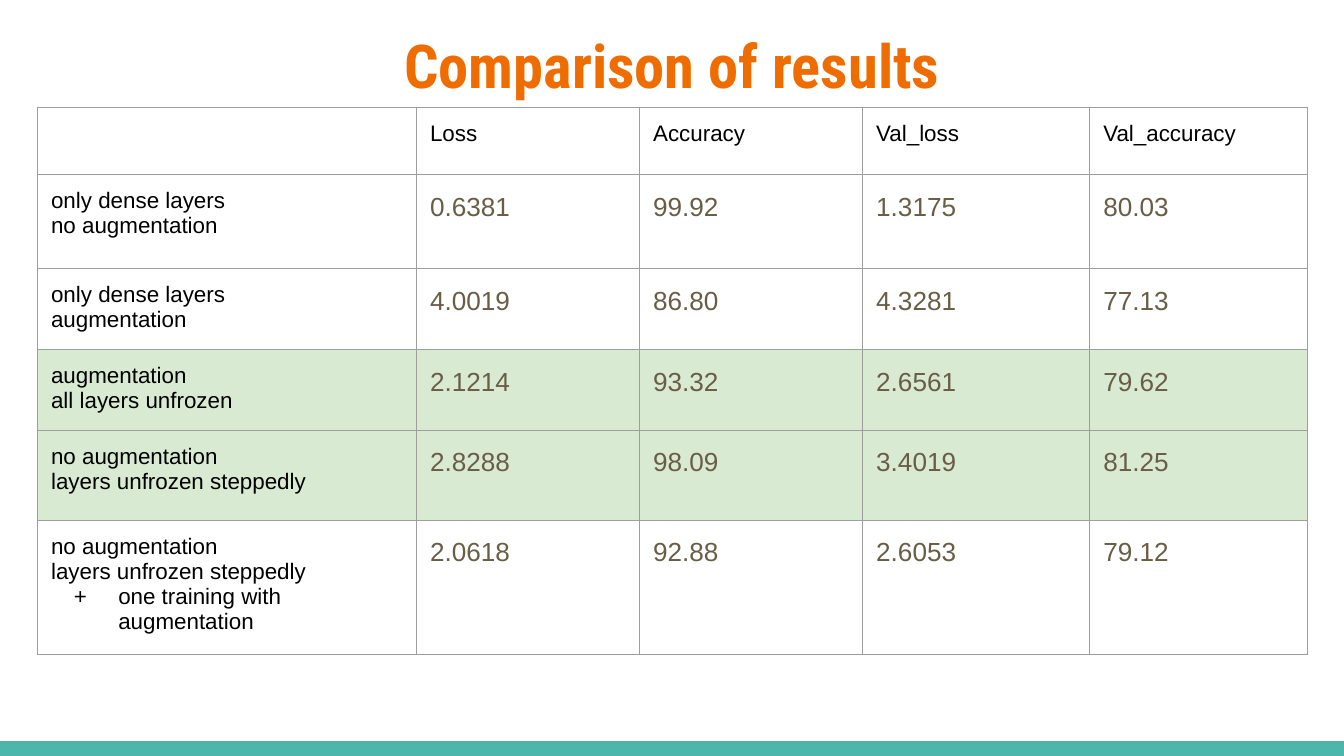
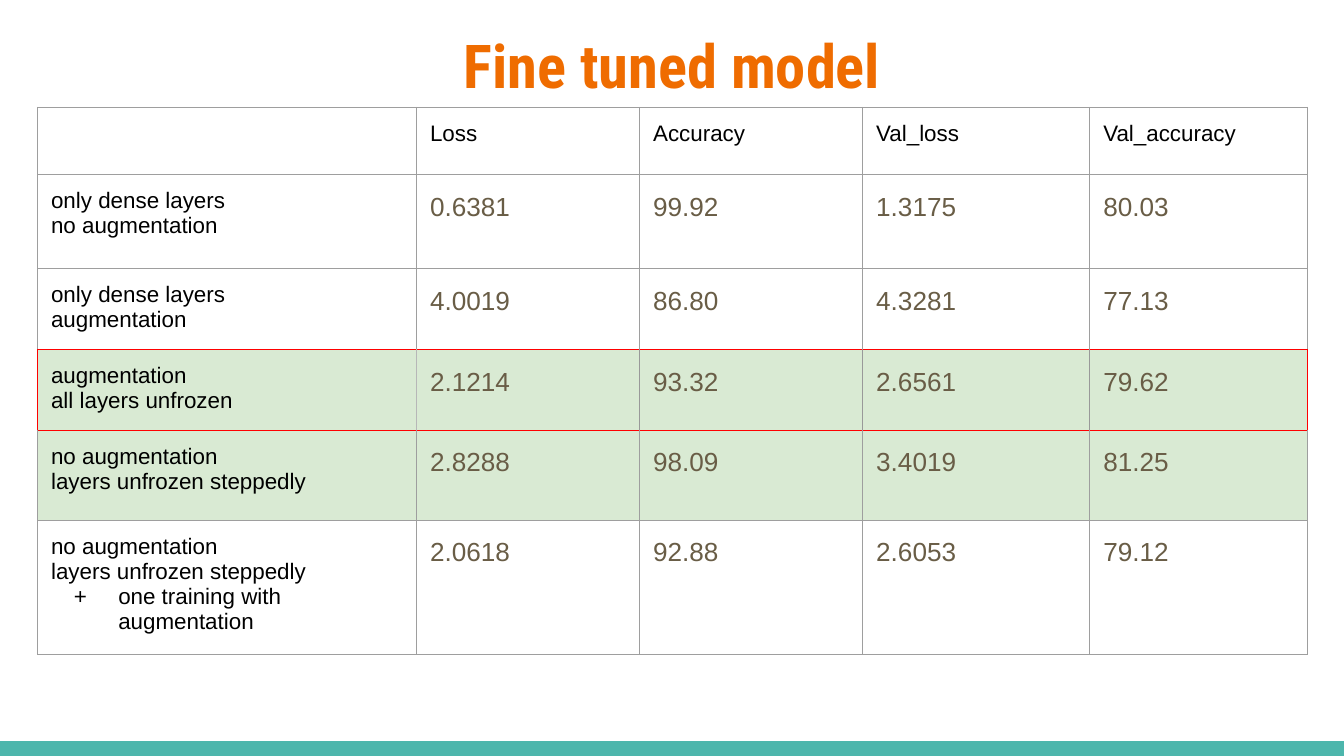
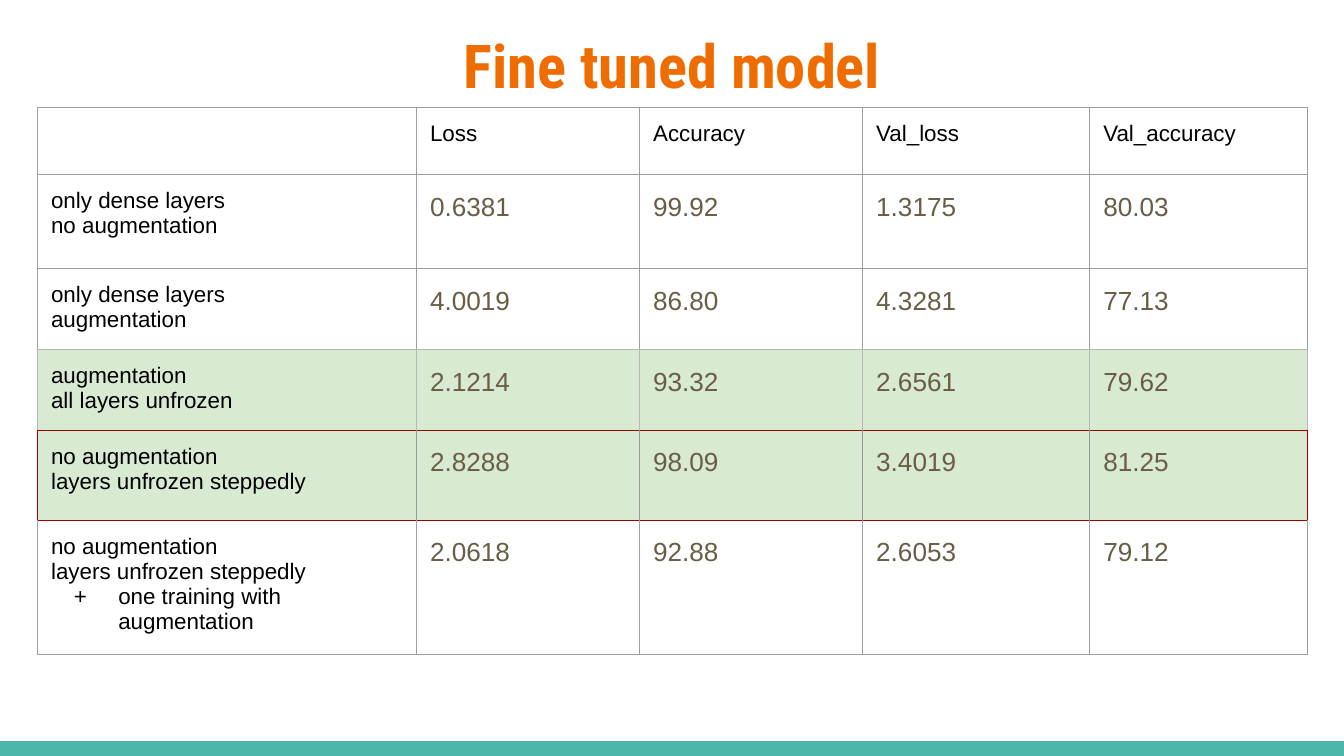
import pptx
import pptx.dml.color
import pptx.enum.shapes
import pptx.enum.text
import pptx.oxml.ns
import pptx.util
from lxml import etree

Inches = pptx.util.Inches
Pt = pptx.util.Pt
RGBColor = pptx.dml.color.RGBColor

WHITE = RGBColor(0xFF, 0xFF, 0xFF)
BLACK = RGBColor(0x00, 0x00, 0x00)
TEAL = RGBColor(0x4D, 0xB6, 0xAC)
ORANGE = RGBColor(0xEF, 0x6C, 0x00)
BROWN = RGBColor(0x69, 0x5D, 0x46)
PALE_GREEN = RGBColor(0xD9, 0xEA, 0xD3)
GRID = RGBColor(0x9E, 0x9E, 0x9E)
GRAY = RGBColor(0x99, 0x99, 0x99)
SILVER = RGBColor(0xB7, 0xB7, 0xB7)
RED = RGBColor(0xFF, 0x00, 0x00)
DARK_RED = RGBColor(0x98, 0x00, 0x00)

TITLE_FONT = "Roboto Condensed"
BODY_FONT = "Arial"

COL_WIDTHS = [2.82, 1.66, 1.66, 1.69, 1.62]
ROW_HEIGHTS = [0.43, 0.7, 0.5, 0.53, 0.67, 0.67]
GREEN_ROWS = (3, 4)
SPACED_ROWS = (2, 3)
RESULTS = [
    ["", "Loss", "Accuracy", "Val_loss", "Val_accuracy"],
    ["only dense layers\nno augmentation", "0.6381", "99.92", "1.3175", "80.03"],
    ["only dense layers\naugmentation", "4.0019", "86.80", "4.3281", "77.13"],
    ["augmentation\nall layers unfrozen", "2.1214", "93.32", "2.6561", "79.62"],
    ["no augmentation\nlayers unfrozen steppedly", "2.8288", "98.09", "3.4019", "81.25"],
    ["no augmentation\nlayers unfrozen steppedly\none training with augmentation",
     "2.0618", "92.88", "2.6053", "79.12"],
]


def add_xml(parent, tag, **attrs):
    return etree.SubElement(parent, pptx.oxml.ns.qn(tag), attrs)


def set_borders(cell, **colors):
    """Draw the sides L, R, T and B; call before the cell gets its fill."""
    tcPr = cell._tc.get_or_add_tcPr()
    for side, color in colors.items():
        ln = add_xml(tcPr, f"a:ln{side}", w=str(Pt(0.75)))
        add_xml(add_xml(ln, "a:solidFill"), "a:srgbClr", val=str(color))


def set_bullet(p, char):
    pPr = p._p.get_or_add_pPr()
    pPr.set("marL", str(Inches(0.5)))
    pPr.set("indent", str(Inches(-0.33)))
    add_xml(add_xml(pPr, "a:buClr"), "a:srgbClr", val=str(BLACK))
    add_xml(pPr, "a:buFont", typeface=BODY_FONT)
    add_xml(pPr, "a:buChar", char=char)


class Deck:
    """Holds the shared style and the slide being built."""

    def __init__(self):
        self.prs = pptx.Presentation()
        self.prs.slide_width = Inches(10)
        self.prs.slide_height = Inches(10) * 9 // 16

    def start_slide(self, title):
        self.s = self.prs.slides.add_slide(self.prs.slide_layouts[6])
        self.s.background.fill.solid()
        self.s.background.fill.fore_color.rgb = WHITE
        self.add_band()
        self.add_title(title)

    def add_band(self):
        height = Inches(0.11)
        sp = self.s.shapes.add_shape(pptx.enum.shapes.MSO_SHAPE.RECTANGLE,
                                     0, self.prs.slide_height - height,
                                     self.prs.slide_width, height)
        sp.shadow.inherit = False
        sp.fill.solid()
        sp.fill.fore_color.rgb = TEAL
        sp.line.fill.background()

    def style_runs(self, p, font, size, color, bold=False):
        for r in p.runs:
            r.font.name = font
            r.font.size = Pt(size)
            r.font.color.rgb = color
            r.font.bold = bold

    def add_title(self, text):
        sp = self.s.shapes.add_textbox(Inches(0.34), Inches(0.11), Inches(9.32), Inches(0.63))
        tf = sp.text_frame
        tf.word_wrap = True
        tf.vertical_anchor = pptx.enum.text.MSO_ANCHOR.TOP
        tf.margin_left = tf.margin_right = tf.margin_top = tf.margin_bottom = Inches(0.1)
        tf.text = text
        p = tf.paragraphs[0]
        p.alignment = pptx.enum.text.PP_ALIGN.CENTER
        self.style_runs(p, TITLE_FONT, 32.4, ORANGE, bold=True)

    def add_results_table(self, row_lines, column_lines):
        """Line colours that differ from the grid: by line index, and by row."""
        frame = self.s.shapes.add_table(
            len(ROW_HEIGHTS), len(COL_WIDTHS), Inches(0.28), Inches(0.8),
            Inches(sum(COL_WIDTHS)), Inches(sum(ROW_HEIGHTS)))
        table = frame.table
        table.first_row = table.horz_banding = False
        for col, width in zip(table.columns, COL_WIDTHS):
            col.width = Inches(width)
        for row, height in zip(table.rows, ROW_HEIGHTS):
            row.height = Inches(height)
        frame.width = frame.height = Inches(3.28)
        for i, texts in enumerate(RESULTS):
            verticals = column_lines.get(i, [GRID] * (len(COL_WIDTHS) + 1))
            for j, text in enumerate(texts):
                cell = table.cell(i, j)
                set_borders(cell, L=verticals[j], R=verticals[j + 1],
                            T=row_lines.get(i, GRID), B=row_lines.get(i + 1, GRID))
                self.fill_cell(cell, text, i, is_value=i > 0 and j > 0)

    def fill_cell(self, cell, text, row, is_value):
        if row in GREEN_ROWS:
            cell.fill.solid()
            cell.fill.fore_color.rgb = PALE_GREEN
        else:
            cell.fill.background()
        cell.margin_left = cell.margin_right = Inches(0.1)
        cell.margin_top = cell.margin_bottom = Inches(0.1)
        cell.text_frame.text = text
        for k, p in enumerate(cell.text_frame.paragraphs):
            if is_value:
                p.line_spacing = 1.15
                if row in SPACED_ROWS:
                    p.space_after = Pt(12)
                self.style_runs(p, BODY_FONT, 14, BROWN)
            else:
                self.style_runs(p, BODY_FONT, 12, BLACK)
            if k == 2:
                set_bullet(p, "+")


def main():
    deck = Deck()

    deck.start_slide("Comparison of results")
    deck.add_results_table({}, {})

    deck.start_slide("Fine tuned model")
    deck.add_results_table({3: RED, 4: RED},
                           {3: [RED, SILVER, GRAY, GRAY, GRAY, RED]})

    deck.start_slide("Fine tuned model")
    deck.add_results_table({3: SILVER, 4: DARK_RED, 5: DARK_RED},
                           {3: [SILVER] * 6, 4: [DARK_RED, *[GRAY] * 4, DARK_RED]})

    deck.prs.save("out.pptx")


if __name__ == "__main__":
    main()
